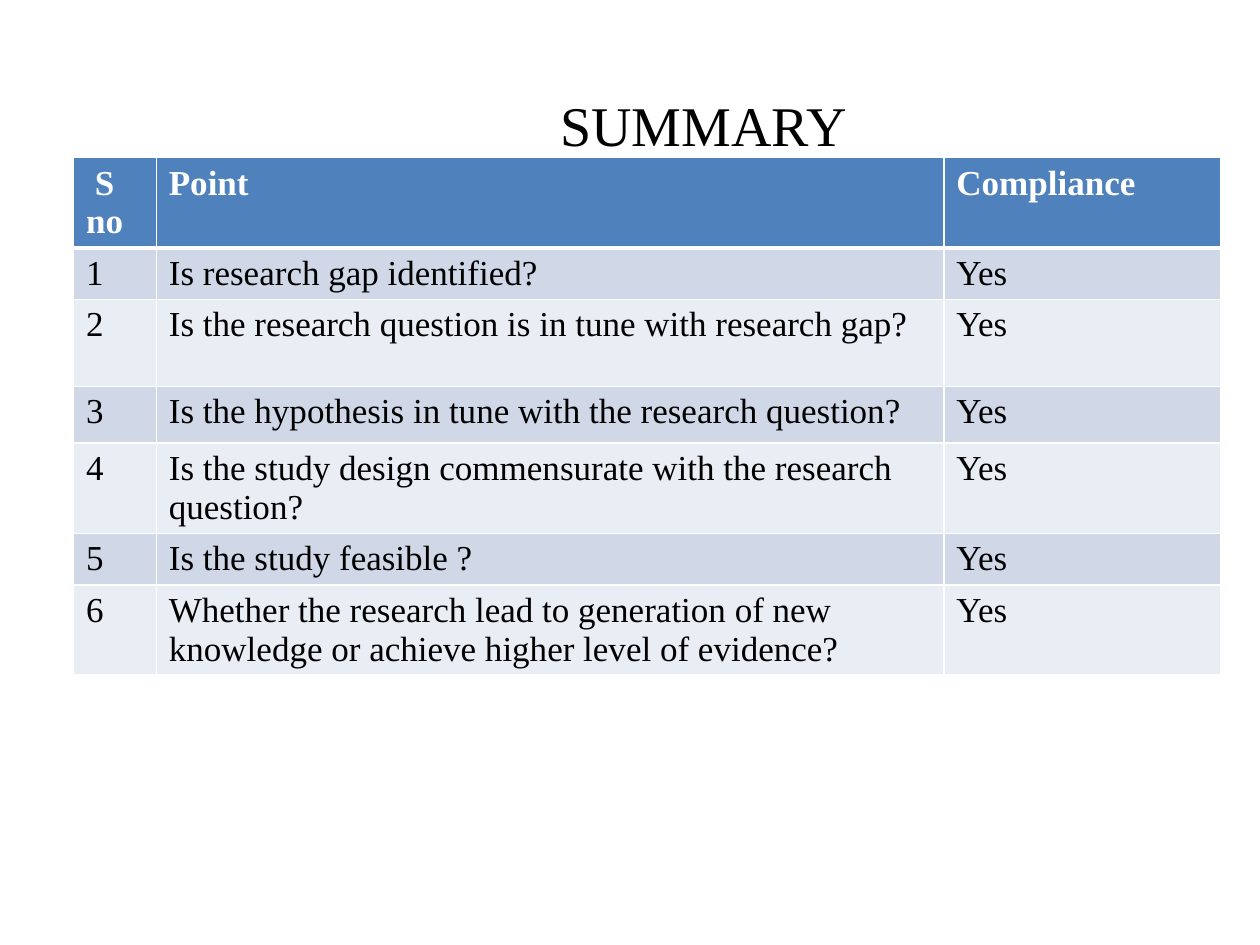
"""Build the summary slide: a title over a compliance checklist table."""
import pptx
import pptx.util
import pptx.dml.color
import pptx.enum.text
import lxml.etree

Pt = pptx.util.Pt
RGB = pptx.dml.color.RGBColor
WHITE = RGB(0xFF, 0xFF, 0xFF)
BLACK = RGB(0, 0, 0)
BLUE = RGB(0x4F, 0x81, 0xBD)
BANDS = [RGB(0xE9, 0xED, 0xF4), RGB(0xD0, 0xD8, 0xE8)]
FONT = "Times New Roman"
POINTS = [
    "Is research gap identified?",
    "Is the research question is in tune with research gap?",
    "Is the hypothesis in tune with the research question?",
    "Is the study design commensurate with the research question?",
    "Is the study feasible ?",
    "Whether the research lead to generation of new knowledge or achieve higher level of evidence?",
]
WIDTHS = [47.3, 450, 158.4]
HEIGHTS = [49.7, 28.1, 49.7, 32.4, 49.7, 28.1, 49.7]


def write(frame, text, size, color, bold=False):
    run = frame.paragraphs[0].add_run()
    run.text = text
    run.font.name = FONT
    run.font.size = Pt(size)
    run.font.bold = bold
    run.font.color.rgb = color


def border(cell, side, width):
    props = cell._tc.get_or_add_tcPr()
    ns = "{" + props.nsmap["a"] + "}"
    line = lxml.etree.SubElement(props, ns + "ln" + side, w=str(Pt(width)))
    fill = lxml.etree.SubElement(line, ns + "solidFill")
    lxml.etree.SubElement(fill, ns + "srgbClr", val=str(WHITE))


deck = pptx.Presentation()
deck.slide_width, deck.slide_height = Pt(720), Pt(540)
slide = deck.slides.add_slide(deck.slide_layouts[6])

rows = [[" S no", "Point", "Compliance"]]
rows += [[str(n), point, "Yes"] for n, point in enumerate(POINTS, 1)]
grid = slide.shapes.add_table(
    len(rows), len(WIDTHS), Pt(42), Pt(90), Pt(sum(WIDTHS)), Pt(sum(HEIGHTS))
).table
for col, width in zip(grid.columns, WIDTHS):
    col.width = Pt(width)
for row, height in zip(grid.rows, HEIGHTS):
    row.height = Pt(height)

for r, texts in enumerate(rows):
    head = r == 0
    for c, text in enumerate(texts):
        cell = grid.cell(r, c)
        for side in "LRTB":
            thick = (r, side) in [(0, "B"), (1, "T")]
            border(cell, side, 3 if thick else 1)
        cell.fill.solid()
        cell.fill.fore_color.rgb = BLUE if head else BANDS[r % 2]
        write(cell.text_frame, text, 20, WHITE if head else BLACK, head)

title = slide.shapes.add_textbox(Pt(138), Pt(48), Pt(358), Pt(46)).text_frame
title.word_wrap = True
title.margin_right = Pt(12)
title.auto_size = pptx.enum.text.MSO_AUTO_SIZE.SHAPE_TO_FIT_TEXT
title.paragraphs[0].alignment = pptx.enum.text.PP_ALIGN.RIGHT
write(title, "SUMMARY", 32, BLACK)

deck.save("out.pptx")
